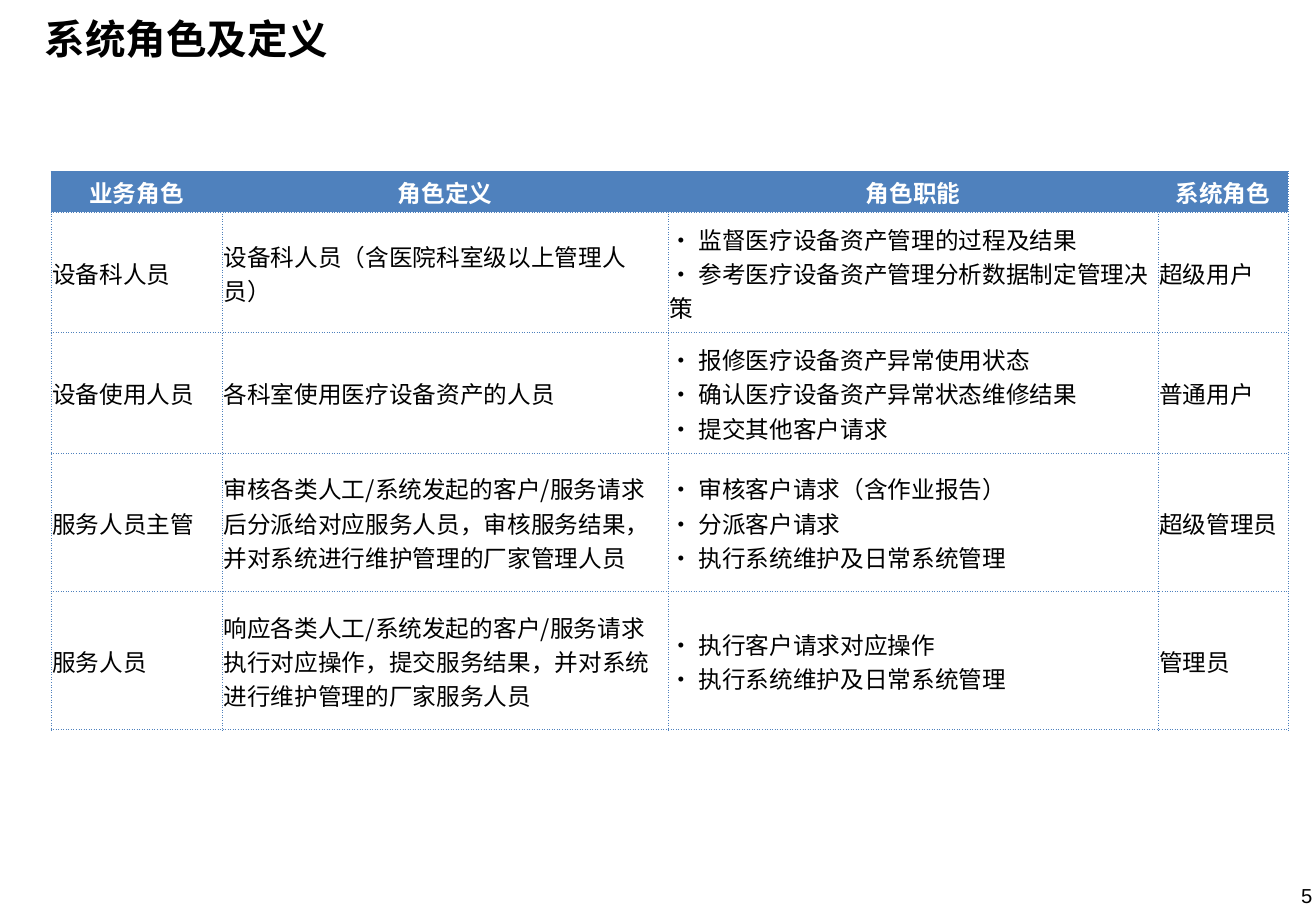
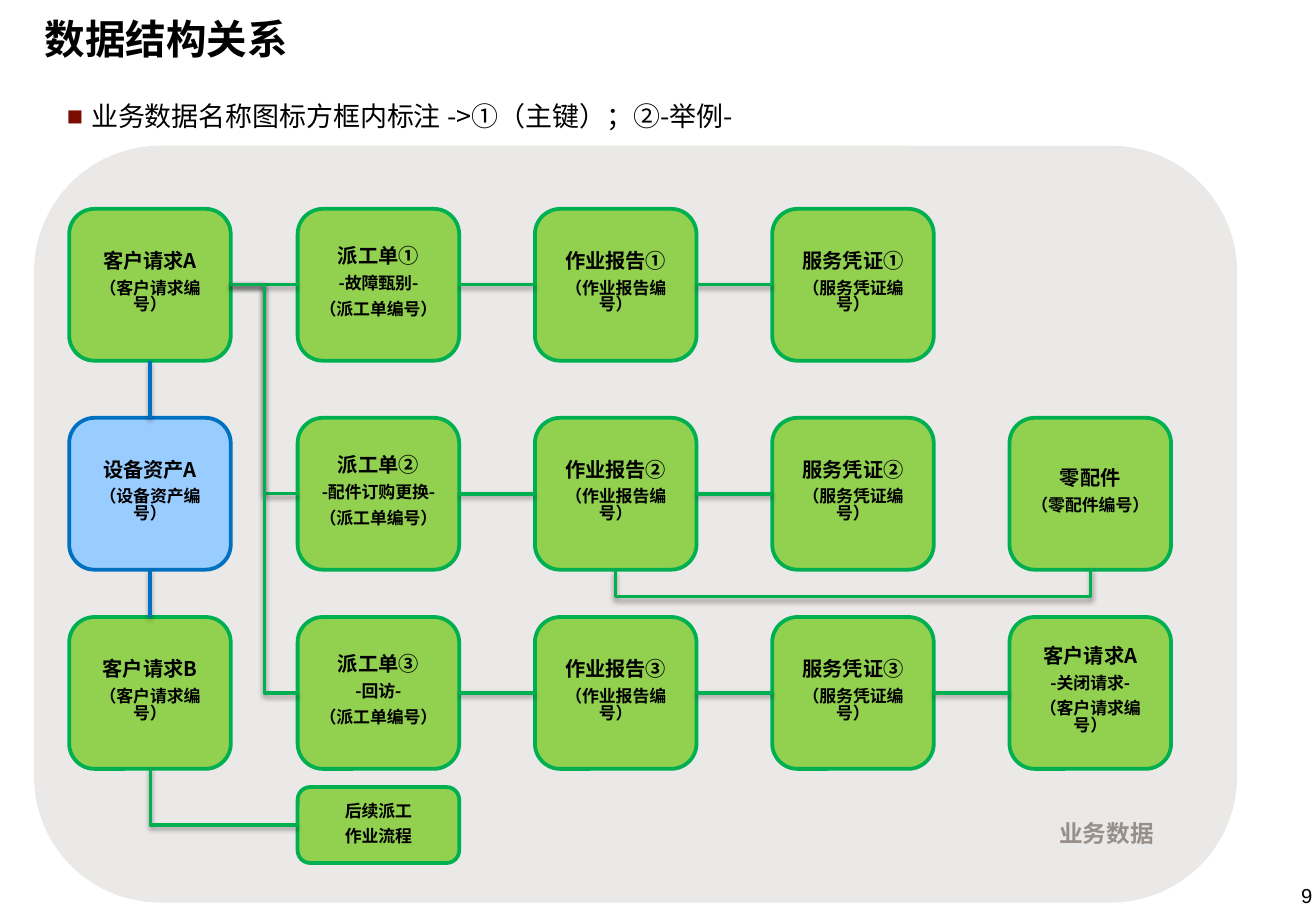
import copy
import dataclasses
import typing

import lxml.etree
import pptx
import pptx.dml.color
import pptx.enum.shapes
import pptx.enum.text
import pptx.oxml.ns
import pptx.util

WIDTH = pptx.util.Inches(10.83)
HEIGHT = pptx.util.Inches(7.5)
FONT = "Noto Sans CJK SC"
PLAIN_FONT = "Arial"
BLACK, WHITE = "000000", "FFFFFF"
TABLE_BLUE = "4F81BD"
GREEN, GREEN_EDGE = "92D050", "00B050"
BLUE, BLUE_EDGE = "99CCFF", "0070C0"
ALIGN = pptx.enum.text.PP_ALIGN
ANCHOR = pptx.enum.text.MSO_ANCHOR
SHAPE = pptx.enum.shapes.MSO_SHAPE
LINK = pptx.enum.shapes.MSO_CONNECTOR
TOP, LEFT, BOTTOM, RIGHT = range(4)


@dataclasses.dataclass(frozen=True)
class Area:
    left: float
    top: float
    width: float
    height: float

    def bounds(self) -> tuple[int, int, int, int]:
        return (across(self.left), down(self.top), across(self.width), down(self.height))


@dataclasses.dataclass(frozen=True)
class Node:
    key: str
    column: int
    row: int
    lines: tuple[str, ...]
    fill: str = GREEN
    edge: str = GREEN_EDGE


@dataclasses.dataclass(frozen=True)
class Join:
    start: str
    start_side: int
    end: str
    end_side: int
    kind: typing.Any = LINK.STRAIGHT
    color: str = GREEN_EDGE
    bend: int = 50000


COLUMNS = [5.26] + [22.62 + 18.03 * step for step in range(4)]
ROWS = [22.93, 45.87, 67.73]
BOX_WIDTH, BOX_HEIGHT = 12.28, 16.67
TABLE_COLUMNS = [13.02, 33.89, 37.21, 9.88]
TABLE_ROWS = [4.53] + [13.2] * 2 + [15.2] * 2

ROLES = [
    ("业务角色", "角色定义", "角色职能", "系统角色"),
    ("设备科人员", "设备科人员（含医院科室级以上管理人员）",
     "· 监督医疗设备资产管理的过程及结果\v· 参考医疗设备资产管理分析数据制定管理决策", "超级用户"),
    ("设备使用人员", "各科室使用医疗设备资产的人员",
     "· 报修医疗设备资产异常使用状态\v· 确认医疗设备资产异常状态维修结果\v· 提交其他客户请求", "普通用户"),
    ("服务人员主管",
     "审核各类人工/系统发起的客户/服务请求\v后分派给对应服务人员，审核服务结果，并对系统进行维护管理的厂家管理人员",
     "· 审核客户请求（含作业报告）\v· 分派客户请求\v· 执行系统维护及日常系统管理", "超级管理员"),
    ("服务人员",
     "响应各类人工/系统发起的客户/服务请求\v执行对应操作，提交服务结果，并对系统进行维护管理的厂家服务人员",
     "· 执行客户请求对应操作\v· 执行系统维护及日常系统管理", "管理员"),
]

NODES = [
    Node("request A", 0, 0, ("客户请求A", "（客户请求编号）")),
    Node("asset", 0, 1, ("设备资产A", "（设备资产编号）"), BLUE, BLUE_EDGE),
    Node("request B", 0, 2, ("客户请求B", "（客户请求编号）")),
    Node("parts", 4, 1, ("零配件", "（零配件编号）")),
    Node("closing", 4, 2, ("客户请求A", "-关闭请求-", "（客户请求编号）")),
]
JOINS = [
    Join("asset", TOP, "request A", BOTTOM, color=BLUE_EDGE),
    Join("request B", TOP, "asset", BOTTOM, color=BLUE_EDGE),
    Join("request A", RIGHT, "order 0", LEFT),
    Join("voucher 2", RIGHT, "closing", LEFT),
    Join("request A", RIGHT, "order 1", LEFT, LINK.ELBOW),
    Join("request A", RIGHT, "order 2", LEFT, LINK.ELBOW),
    Join("request B", BOTTOM, "follow-up", LEFT, LINK.ELBOW, bend=400),
]
for row, (mark, task) in enumerate(zip("①②③", ("故障甄别", "配件订购更换", "回访"))):
    NODES += [
        Node(f"order {row}", 1, row, (f"派工单{mark}", f"-{task}-", "（派工单编号）")),
        Node(f"report {row}", 2, row, (f"作业报告{mark}", "（作业报告编号）")),
        Node(f"voucher {row}", 3, row, (f"服务凭证{mark}", "（服务凭证编号）")),
    ]
    JOINS += [
        Join(f"order {row}", RIGHT, f"report {row}", LEFT),
        Join(f"report {row}", RIGHT, f"voucher {row}", LEFT),
    ]


def across(share: float) -> int:
    return round(WIDTH * share / 100)


def down(share: float) -> int:
    return round(HEIGHT * share / 100)


def rgb(color: str) -> pptx.dml.color.RGBColor:
    return pptx.dml.color.RGBColor.from_string(color)


def add_tag(parent: typing.Any, tag: str, **attributes: str) -> typing.Any:
    return lxml.etree.SubElement(parent, pptx.oxml.ns.qn(tag), attributes)


def write(para: typing.Any, text: str, *, size: float, color: str = BLACK, bold: bool = False,
          font: str = FONT, align: typing.Any = ALIGN.LEFT, leading: typing.Optional[float] = None,
          before: int = 0, after: int = 0, bullet: str = "", bullet_color: str = BLACK) -> None:
    para.text = text
    para.alignment = align
    if leading:
        para.line_spacing = pptx.util.Pt(leading)
    props = para._p.get_or_add_pPr()
    for tag, percent in (("a:spcBef", before), ("a:spcAft", after)):
        add_tag(add_tag(props, tag), "a:spcPct", val=str(percent * 1000))
    if bullet:
        indent = pptx.util.Inches(0.2)
        props.set("marL", str(indent))
        props.set("indent", str(-indent))
        add_tag(add_tag(props, "a:buClr"), "a:srgbClr", val=bullet_color)
        add_tag(props, "a:buFont", typeface=PLAIN_FONT)
        add_tag(props, "a:buChar", char=bullet)
    for span in para.runs:
        span.font.size = pptx.util.Pt(size)
        span.font.bold = bold
        span.font.color.rgb = rgb(color)
        span.font.name = font
        add_tag(span._r.get_or_add_rPr(), "a:ea", typeface=font)
    for line_break in para._p.findall(pptx.oxml.ns.qn("a:br")):
        line_break.append(copy.deepcopy(para.runs[0]._r.rPr))


def place(shape: typing.Any, area: Area) -> None:
    shape.left, shape.top, shape.width, shape.height = area.bounds()
    shape.text_frame.word_wrap = True
    shape.text_frame.auto_size = pptx.enum.text.MSO_AUTO_SIZE.NONE


def add_text(page: typing.Any, area: Area, text: str, *, margin: float = 0.1,
             anchor: typing.Any = ANCHOR.TOP, **style: typing.Any) -> None:
    box = page.shapes.add_textbox(*area.bounds())
    frame = box.text_frame
    frame.word_wrap = True
    frame.vertical_anchor = anchor
    frame.margin_left = frame.margin_right = pptx.util.Inches(margin)
    frame.margin_top = frame.margin_bottom = pptx.util.Inches(margin / 2)
    write(frame.paragraphs[0], text, **style)


def add_page(deck: typing.Any, layout: int, title: str, number: int) -> typing.Any:
    page = deck.slides.add_slide(deck.slide_layouts[layout])
    place(page.shapes.title, Area(2.49, 0.8, 79.5, 6.8))
    frame = page.shapes.title.text_frame
    frame.vertical_anchor = ANCHOR.BOTTOM
    write(frame.paragraphs[0], title, size=24, bold=True)
    add_text(page, Area(91.32, 95.47, 8.4, 4.13), str(number), margin=0,
             anchor=ANCHOR.BOTTOM, size=12, font=PLAIN_FONT, align=ALIGN.RIGHT)
    return page


def add_borders(cell: typing.Any) -> None:
    props = cell._tc.get_or_add_tcPr()
    for side in "LRTB":
        line = add_tag(props, f"a:ln{side}", w=str(pptx.util.Pt(0.5)))
        add_tag(add_tag(line, "a:solidFill"), "a:srgbClr", val=TABLE_BLUE)
        add_tag(line, "a:prstDash", val="sysDot")


def add_role_table(page: typing.Any) -> None:
    area = Area(3.88, 18.8, sum(TABLE_COLUMNS), sum(TABLE_ROWS))
    table = page.shapes.add_table(len(ROLES), len(TABLE_COLUMNS), *area.bounds()).table
    table.first_row = table.horz_banding = False
    for column, share in zip(table.columns, TABLE_COLUMNS):
        column.width = across(share)
    for index, (row, share, texts) in enumerate(zip(table.rows, TABLE_ROWS, ROLES)):
        row.height = down(share)
        header = index == 0
        for cell, text in zip(row.cells, texts):
            cell.vertical_anchor = ANCHOR.MIDDLE
            cell.margin_left = cell.margin_right = cell.margin_top = pptx.util.Inches(0.01)
            cell.margin_bottom = 0
            add_borders(cell)
            if header:
                cell.fill.solid()
                cell.fill.fore_color.rgb = rgb(TABLE_BLUE)
            else:
                cell.fill.background()
            write(cell.text_frame.paragraphs[0], text, size=14, bold=header, before=50,
                  color=WHITE if header else BLACK, align=ALIGN.CENTER if header else ALIGN.LEFT)


def add_box(page: typing.Any, area: Area, fill: str, edge: str = "",
            lines: tuple[str, ...] = (), first_size: float = 12) -> typing.Any:
    box = page.shapes.add_shape(SHAPE.ROUNDED_RECTANGLE, *area.bounds())
    box.shadow.inherit = False
    box.fill.solid()
    box.fill.fore_color.rgb = rgb(fill)
    if edge:
        box.line.color.rgb = rgb(edge)
        box.line.width = pptx.util.Pt(2.25)
    else:
        box.line.fill.background()
    frame = box.text_frame
    frame.word_wrap = True
    frame.vertical_anchor = ANCHOR.MIDDLE
    for index, text in enumerate(lines):
        para = frame.add_paragraph() if index else frame.paragraphs[0]
        write(para, text, size=10 if index else first_size, bold=True,
              align=ALIGN.CENTER, leading=10, before=50)
    return box


def add_join(page: typing.Any, boxes: dict[str, typing.Any], join: Join) -> typing.Any:
    line = page.shapes.add_connector(join.kind, 0, 0, 0, 0)
    line.begin_connect(boxes[join.start], join.start_side)
    line.end_connect(boxes[join.end], join.end_side)
    line.line.color.rgb = rgb(join.color)
    line.line.width = pptx.util.Pt(2)
    props = line._element.spPr
    if join.kind == LINK.ELBOW:
        guides = props.find(".//" + pptx.oxml.ns.qn("a:avLst"))
        add_tag(guides, "a:gd", name="adj1", fmla=f"val {join.bend}")
    shadow = add_tag(add_tag(props, "a:effectLst"), "a:outerShdw",
                     blurRad=str(pptx.util.Pt(3.1)), dist=str(pptx.util.Pt(1.6)),
                     dir="5400000", rotWithShape="0")
    add_tag(add_tag(shadow, "a:srgbClr", val=BLACK), "a:alpha", val="38000")
    return line


def add_loop(page: typing.Any, boxes: dict[str, typing.Any], start: str, end: str) -> None:
    depth, thin = pptx.util.Inches(0.23), pptx.util.Inches(0.01)
    line = add_join(page, boxes, Join(start, BOTTOM, end, BOTTOM, LINK.ELBOW,
                                      bend=round(100000 * depth / thin)))
    span = line.width
    middle, base = line.left + span // 2, line.top
    line.left, line.top = middle - thin // 2, base - span // 2
    line.width, line.height = thin, span
    frame = line._element.spPr.find(pptx.oxml.ns.qn("a:xfrm"))
    frame.set("rot", "16200000")
    frame.set("flipH", "1")


def add_data_map(page: typing.Any) -> None:
    add_box(page, Area(2.59, 16, 91.41, 83.07), "EAE9E8")
    body = page.placeholders[1]
    place(body, Area(4.16, 10.27, 95.29, 4.93))
    write(body.text_frame.paragraphs[0], "业务数据名称图标方框内标注 ->①（主键）；②-举例-",
          size=16, before=5, after=5, bullet="■", bullet_color="7D0C00")
    add_text(page, Area(79.59, 89.2, 10.34, 4.53), "业务数据",
             size=14, color="978F8A", bold=True, before=50)
    boxes = {
        node.key: add_box(page, Area(COLUMNS[node.column], ROWS[node.row], BOX_WIDTH, BOX_HEIGHT),
                          node.fill, node.edge, node.lines)
        for node in NODES
    }
    boxes["follow-up"] = add_box(page, Area(COLUMNS[1], 86.4, BOX_WIDTH, BOX_HEIGHT / 2),
                                 GREEN, GREEN_EDGE, ("后续派工", "作业流程"), first_size=10)
    for join in JOINS:
        add_join(page, boxes, join)
    add_loop(page, boxes, "report 1", "parts")


def main() -> None:
    deck = pptx.Presentation()
    deck.slide_width, deck.slide_height = WIDTH, HEIGHT
    add_role_table(add_page(deck, 5, "系统角色及定义", 5))
    add_data_map(add_page(deck, 1, "数据结构关系", 9))
    deck.save("out.pptx")


if __name__ == "__main__":
    main()
